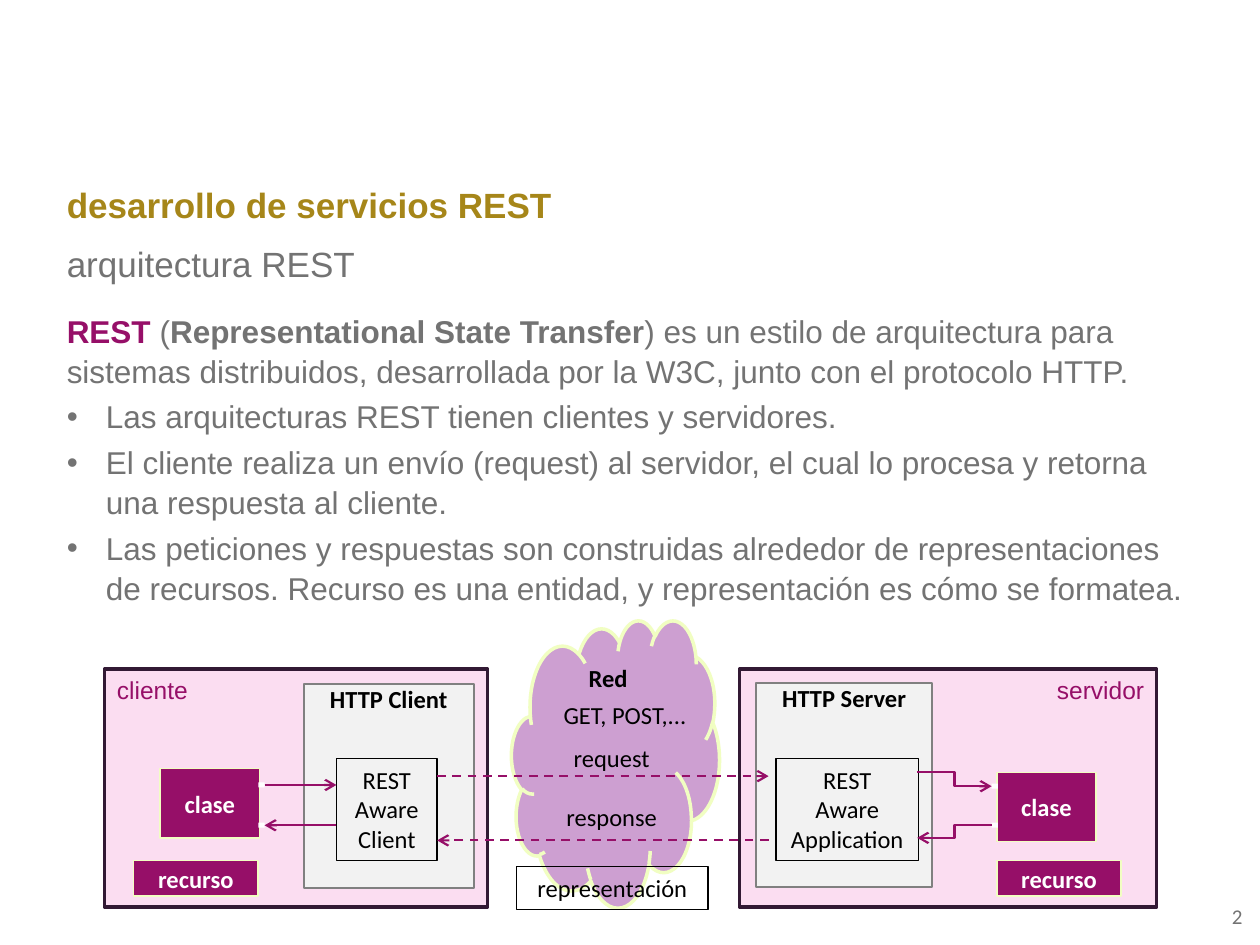
from lxml import etree
from pptx import Presentation
from pptx import util as u
from pptx.dml.color import RGBColor
from pptx.enum import dml, shapes, text
from pptx.oxml import ns

SCALE = 9144
PLUM, INK, GREY = "960F68", "000000", "737373"
PINK, PALE, LIME, WHITE = "FBDDF1", "F2F2F2", "F1FEC2", "FFFFFF"
LEFT, CENTER, RIGHT = text.PP_ALIGN.LEFT, text.PP_ALIGN.CENTER, text.PP_ALIGN.RIGHT
TOP, MIDDLE = text.MSO_ANCHOR.TOP, text.MSO_ANCHOR.MIDDLE
RECTANGLE, CLOUD = shapes.MSO_SHAPE.RECTANGLE, shapes.MSO_SHAPE.CLOUD
STRAIGHT, ELBOW = shapes.MSO_CONNECTOR.STRAIGHT, shapes.MSO_CONNECTOR.ELBOW
INSETS = (10, 5, 10, 5)


def px(length):
    """Turn px into EMU."""
    return u.Emu(length * SCALE)


def color(value):
    """Turn a hex string into a colour."""
    return RGBColor.from_string(value)


def add_run(paragraph, words, size, value, bold=False, font="Calibri"):
    """Append one formatted run to a paragraph."""
    run = paragraph.add_run()
    run.text = words
    run.font.size = u.Pt(size)
    run.font.name = font
    run.font.bold = bold
    run.font.color.rgb = color(value)


def set_frame(frame, insets=INSETS, anchor=TOP):
    """Set the insets, anchor and wrapping of a text frame."""
    frame.margin_left, frame.margin_top, frame.margin_right, frame.margin_bottom = map(px, insets)
    frame.vertical_anchor = anchor
    frame.word_wrap = True
    frame.auto_size = text.MSO_AUTO_SIZE.NONE


def add_box(slide, box, words="", fill=None, line=None, width=1, value=INK, bold=False,
            font="Calibri", align=CENTER, anchor=TOP, insets=INSETS, kind=RECTANGLE):
    """Add a preset shape with an optional line of text."""
    shape = slide.shapes.add_shape(kind, *map(px, box))
    shape.shadow.inherit = False
    if fill:
        shape.fill.solid()
        shape.fill.fore_color.rgb = color(fill)
    else:
        shape.fill.background()
    if line:
        shape.line.color.rgb = color(line)
        shape.line.width = u.Pt(width)
    else:
        shape.line.fill.background()
    set_frame(shape.text_frame, insets, anchor)
    if words:
        paragraph = shape.text_frame.paragraphs[0]
        paragraph.alignment = align
        add_run(paragraph, words, 14, value, bold, font)
    return shape


def add_label(slide, box, words, size=14, value=INK, align=CENTER, insets=(0, 0, 0, 0)):
    """Add a text box with one vertically centred line."""
    frame = slide.shapes.add_textbox(*map(px, box)).text_frame
    set_frame(frame, insets, MIDDLE)
    frame.paragraphs[0].alignment = align
    add_run(frame.paragraphs[0], words, size, value)


def add_arrow(slide, start, end, kind=STRAIGHT, dashed=False):
    """Add a connector with an open arrowhead at its end."""
    connector = slide.shapes.add_connector(kind, *map(px, start + end))
    connector.line.color.rgb = color(PLUM)
    connector.line.width = u.Pt(1.25)
    if dashed:
        connector.line.dash_style = dml.MSO_LINE.DASH
    properties = connector.line._get_or_add_ln()
    etree.SubElement(properties, ns.qn("a:tailEnd"), type="arrow")
    etree.SubElement(connector._element.spPr, ns.qn("a:effectLst"))
    return connector


def place_text(placeholder, box, paragraphs, size, anchor):
    """Move a placeholder and fill its paragraphs, each given as (bulleted, runs)."""
    placeholder.left, placeholder.top, placeholder.width, placeholder.height = map(px, box)
    frame = placeholder.text_frame
    set_frame(frame, anchor=anchor)
    for index, (bulleted, runs) in enumerate(paragraphs):
        paragraph = frame.add_paragraph() if index else frame.paragraphs[0]
        paragraph.alignment = LEFT
        properties = paragraph._p.get_or_add_pPr()
        indent = px(31) if bulleted else 0
        properties.set("marL", str(indent))
        properties.set("indent", str(-indent))
        if not bulleted:
            etree.SubElement(properties, ns.qn("a:buNone"))
        for words, value, bold in runs:
            add_run(paragraph, words, size, value, bold, "Arial")
    return frame


def add_headings(slide, box):
    """Fill the title, the subtitle and the list, stacked in the box."""
    left, top, width, height = box
    title, subtitle, body = slide.placeholders
    place_text(title, (left, top, width, 47),
               [(False, [("desarrollo de servicios REST", "A68619", True)])], 20, MIDDLE)
    place_text(subtitle, (left, top + 47, width, 47),
               [(False, [("arquitectura REST", GREY, False)])], 20, MIDDLE)
    definition = [
        ("REST", PLUM, True),
        (" (", GREY, False),
        ("Representational State Transfer", GREY, True),
        (") es un estilo de arquitectura para sistemas distribuidos, desarrollada por la W3C, "
         "junto con el protocolo HTTP.", GREY, False),
    ]
    points = [
        "Las arquitecturas REST tienen clientes y servidores.",
        "El cliente realiza un envío (request) al servidor, el cual lo procesa y retorna "
        "una respuesta al cliente.",
        "Las peticiones y respuestas son construidas alrededor de representaciones de recursos. "
        "Recurso es una entidad, y representación es cómo se formatea.",
    ]
    paragraphs = [(False, definition)] + [(True, [(point, GREY, False)]) for point in points]
    frame = place_text(body, (left, top + 102, width, height - 102), paragraphs, 18, TOP)
    for paragraph in frame.paragraphs:
        paragraph.line_spacing = 1.05


def add_host(slide, box, name, align, layer, layer_box, program, program_box,
             class_at, resource_at, port_left, port_tops):
    """Add one side of the exchange with parts relative to its box, and return its ports."""
    left, top = box[:2]

    def inside(x, y, width, height):
        """Shift a box into the host."""
        return left + x, top + y, width, height

    add_box(slide, box, name, PINK, "321934", 2, PLUM, font="Arial", align=align)
    add_box(slide, inside(*layer_box), layer, PALE, "808080", bold=True, insets=(0, 0, 0, 0))
    add_box(slide, inside(*program_box), program, None, INK, 0.75, insets=(11, 5, 11, 5))
    for words, part in (("clase", (*class_at, 79, 55)), ("recurso", (*resource_at, 99, 28))):
        add_box(slide, inside(*part), words, PLUM, LIME, value=WHITE, bold=True, anchor=MIDDLE)
    return [add_box(slide, inside(port_left, y, 5, 4), fill=WHITE) for y in port_tops]


def add_client(slide, box):
    """Add the client and the arrows between its class and its program."""
    left, top = box[:2]
    sender, receiver = add_host(
        slide, box, "cliente", LEFT, "HTTP Client", (158, 12, 135, 162),
        "REST Aware Client", (184, 71, 80, 81), (44, 79), (23, 152), 122, (90, 122))
    near, far = left + 127, left + 184
    add_arrow(slide, (near, top + 92), (far, top + 92)).begin_connect(sender, 3)
    add_arrow(slide, (far, top + 124), (near, top + 124)).end_connect(receiver, 3)


def add_server(slide, box):
    """Add the server and the bent arrows between its program and its class."""
    left, top = box[:2]
    add_host(
        slide, box, "servidor", RIGHT, "HTTP Server", (13, 11, 140, 162),
        "REST Aware Application", (29, 71, 113, 81), (204, 82), (204, 152), 200, (91, 122))
    near, far = left + 141, left + 200
    add_arrow(slide, (near, top + 82), (far, top + 93), ELBOW)
    add_arrow(slide, (far, top + 124), (near, top + 134), ELBOW)


def add_network(slide, box):
    """Add the cloud, the messages that cross it and their labels."""
    left, top = box[:2]
    add_box(slide, box, "Red", "CD9FD1", LIME, 2, bold=True, insets=(10, 0, 10, 5), kind=CLOUD)
    client, server = left - 59, left + 204
    add_arrow(slide, (client, top + 124), (server, top + 124), dashed=True)
    add_arrow(slide, (server, top + 175), (client, top + 175), dashed=True)
    labels = (("GET, POST,...", 31, 58, 118), ("request", 39, 92, 81), ("response", 39, 139, 81))
    for words, x, y, width in labels:
        add_label(slide, (left + x, top + y, width, 34), words)
    add_box(slide, (left + 4, top + 196, 152, 34), "representación", None, INK, 0.75)


def main():
    """Build the slide and save it."""
    presentation = Presentation()
    presentation.slide_width, presentation.slide_height = px(1000), px(750)
    slide = presentation.slides.add_slide(presentation.slide_layouts[3])
    add_headings(slide, (43, 139, 906, 559))
    add_client(slide, (83, 531, 304, 189))
    add_server(slide, (587, 531, 331, 189))
    add_network(slide, (406, 492, 165, 228))
    add_label(slide, (924, 707, 72, 40), "2", 12, GREY, RIGHT, INSETS)
    presentation.save("out.pptx")


if __name__ == "__main__":
    main()
